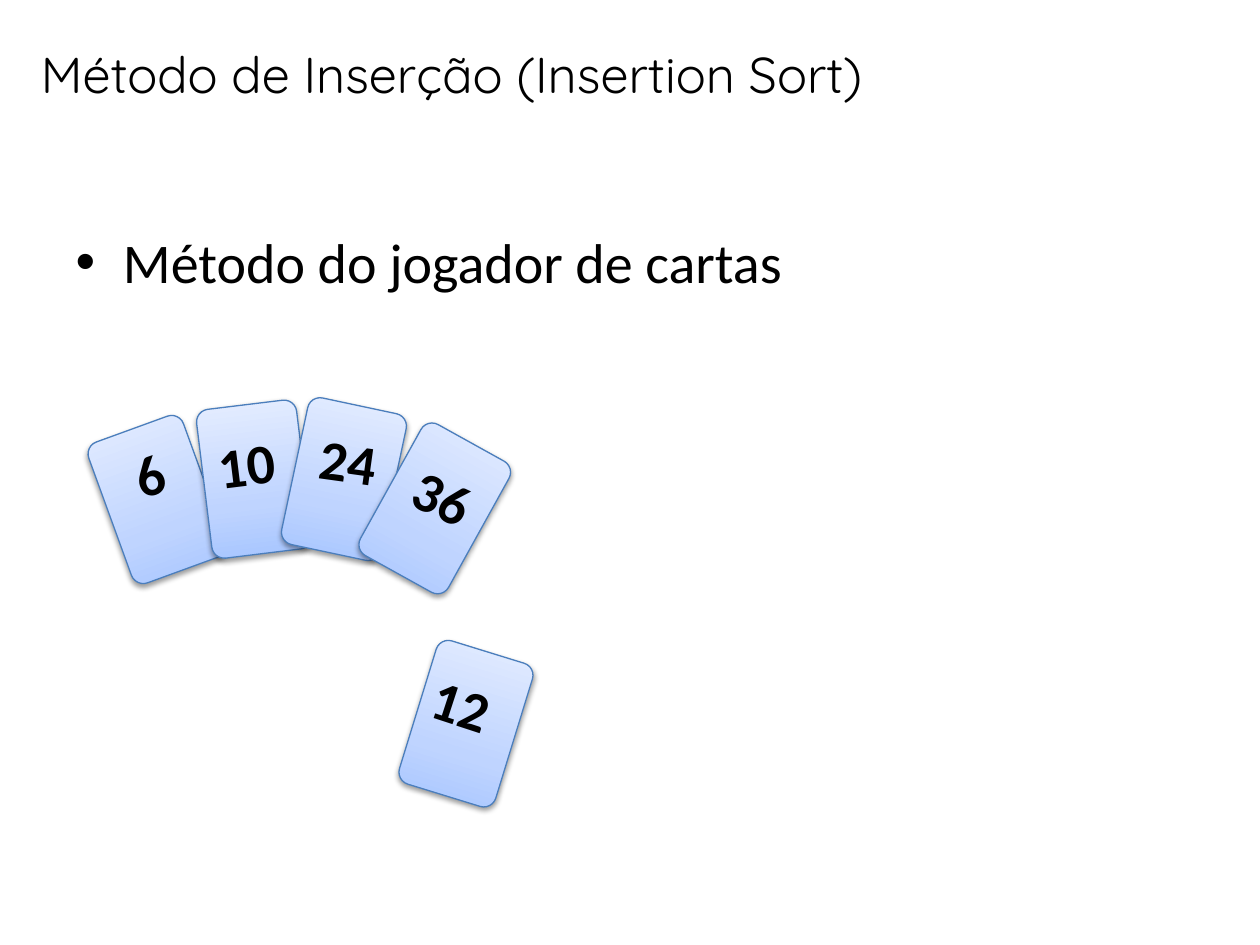
from pptx import Presentation
from pptx.dml.color import RGBColor
from pptx.enum.shapes import MSO_SHAPE
from pptx.enum.text import MSO_ANCHOR, MSO_AUTO_SIZE, PP_ALIGN
from pptx.oxml import parse_xml
from pptx.oxml.ns import nsdecls, qn
from pptx.util import Cm, Pt

ROUNDED = MSO_SHAPE.ROUNDED_RECTANGLE
MIDDLE = MSO_ANCHOR.MIDDLE
CENTER = PP_ALIGN.CENTER
NO_FIT = MSO_AUTO_SIZE.NONE
GROW = MSO_AUTO_SIZE.SHAPE_TO_FIT_TEXT

BLACK = RGBColor(0x00, 0x00, 0x00)
CARD_EDGE = RGBColor(0x4B, 0x7E, 0xBC)
CARD_STOPS = (
    (0, RGBColor(0xA4, 0xC4, 0xFF)),
    (35, RGBColor(0xBF, 0xD4, 0xFF)),
    (100, RGBColor(0xE6, 0xEE, 0xFF)),
)

CARD_WIDTH, CARD_HEIGHT = Cm(2.03), Cm(3.02)
DIGIT_WIDTHS = {1: Cm(1.14), 2: Cm(1.78)}
LABEL_HEIGHT = Cm(1.6)

CARDS = (
    ("6", (2.16, 8.56, 340), (2.46, 8.74, 341)),
    ("10", (4.11, 8.15, 353), (4.14, 8.53, 353)),
    ("12", (8.38, 13.08, 17.1), (8.48, 13.41, 18.1)),
    ("24", (5.92, 8.15, 12), (6.2, 8.48, 8)),
    ("36", (7.75, 8.74, 29), (8.1, 9.22, 25)),
)


def place(shape, left, top, width, height):
    shape.left, shape.top = Cm(left), Cm(top)
    shape.width, shape.height = Cm(width), Cm(height)


def add_span(para, text, size, font, bold=False):
    span = para.add_run()
    span.text = text
    span.font.size = Pt(size)
    span.font.name = font
    span.font.bold = bold
    span.font.color.rgb = BLACK
    return span


def outer_shadow(blur, distance, degrees, opacity):
    return parse_xml(
        f'<a:outerShdw {nsdecls("a")} blurRad="{Pt(blur)}" dist="{Pt(distance)}" '
        f'dir="{degrees * 60000}" algn="tl" rotWithShape="0">'
        f'<a:srgbClr val="{BLACK}"><a:alpha val="{opacity * 1000}"/></a:srgbClr>'
        "</a:outerShdw>"
    )


def fill_card(card):
    stops = "".join(
        f'<a:gs pos="{position * 1000}"><a:srgbClr val="{color}"/></a:gs>'
        for position, color in CARD_STOPS
    )
    gradient = parse_xml(
        f'<a:gradFill {nsdecls("a")} rotWithShape="1"><a:gsLst>{stops}</a:gsLst>'
        '<a:lin ang="16200000" scaled="0"/></a:gradFill>'
    )
    card._element.spPr.find(qn("a:prstGeom")).addnext(gradient)


def add_card(slide, number, card_spot, label_spot):
    group = slide.shapes.add_group_shape()

    left, top, angle = card_spot
    card = group.shapes.add_shape(ROUNDED, Cm(left), Cm(top), CARD_WIDTH, CARD_HEIGHT)
    card.rotation = angle
    card.adjustments[0] = 0.125
    fill_card(card)
    card.line.color.rgb = CARD_EDGE
    card.line.width = Pt(0.75)
    card.shadow.inherit = False
    effects = card._element.spPr.find(qn("a:effectLst"))
    effects.append(outer_shadow(3.1, 1.6, 90, 38))

    left, top, angle = label_spot
    label = group.shapes.add_textbox(
        Cm(left), Cm(top), DIGIT_WIDTHS[len(number)], LABEL_HEIGHT
    )
    label.rotation = angle
    label.text_frame.word_wrap = False
    label.text_frame.auto_size = GROW
    add_span(label.text_frame.paragraphs[0], number, 32, "Calibri", bold=True)


def add_title(slide, text):
    title = slide.shapes.title
    place(title, 0, 0.41, 18.21, 2.13)
    frame = title.text_frame
    frame.auto_size = NO_FIT
    frame.vertical_anchor = MIDDLE
    para = frame.paragraphs[0]
    para.alignment = CENTER
    span = add_span(para, text, 28.8, "Quicksand")
    effects = parse_xml(f'<a:effectLst {nsdecls("a")}/>')
    effects.append(outer_shadow(3, 3, 45, 40))
    span.font._element.find(qn("a:solidFill")).addnext(effects)


def add_body(slide, text):
    body = slide.placeholders[1]
    place(body, 1.27, 4.45, 22.86, 12.57)
    body.text_frame.auto_size = NO_FIT
    add_span(body.text_frame.paragraphs[0], text, 32, "Calibri")


def main():
    deck = Presentation()
    deck.slide_width, deck.slide_height = Cm(25.4), Cm(19.05)
    slide = deck.slides.add_slide(deck.slide_layouts[1])
    add_title(slide, "Método de Inserção (Insertion Sort)")
    add_body(slide, "Método do jogador de cartas")
    for number, card_spot, label_spot in CARDS:
        add_card(slide, number, card_spot, label_spot)
    deck.save("out.pptx")


if __name__ == "__main__":
    main()
